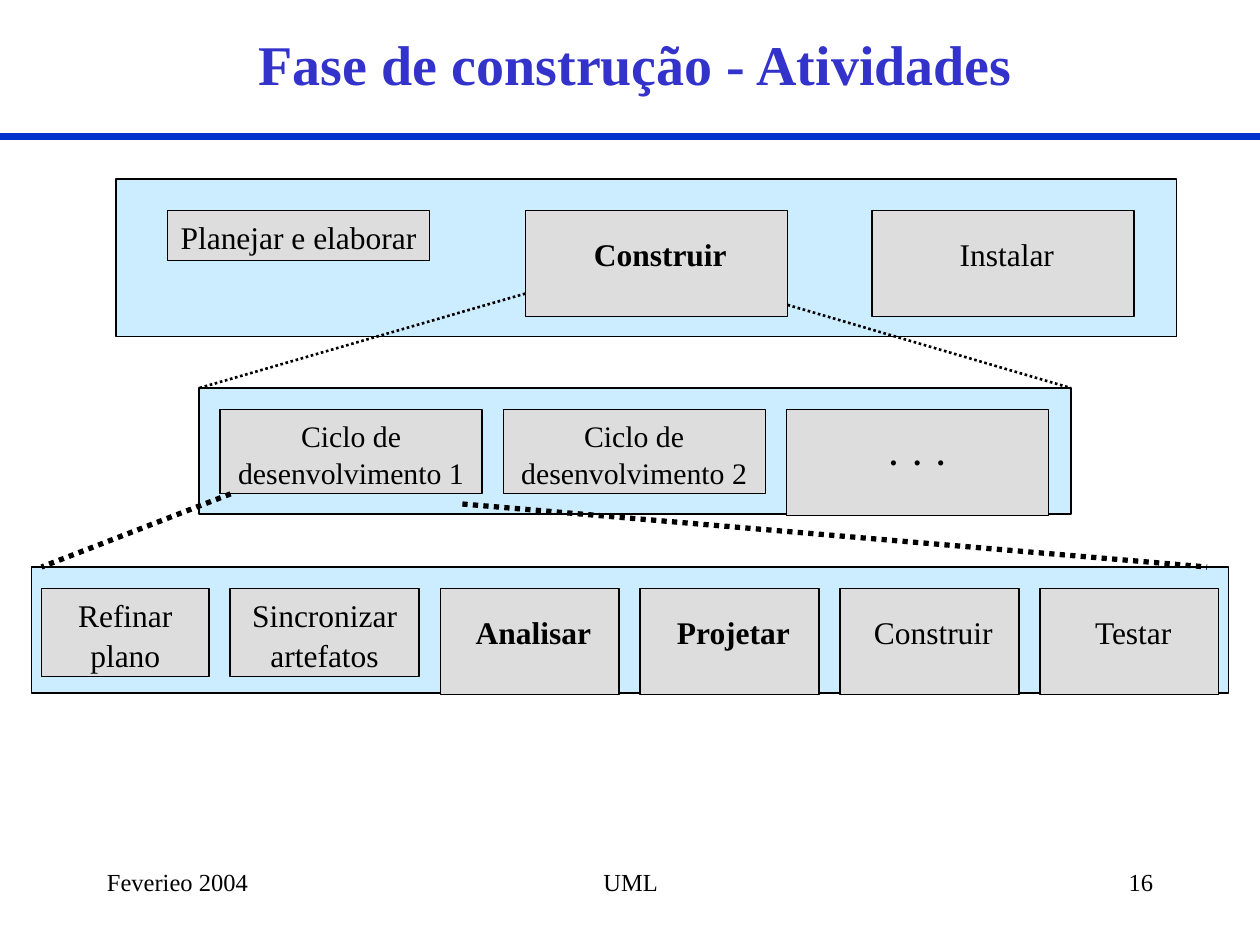
from dataclasses import dataclass

from pptx import Presentation
from pptx.dml.color import RGBColor
from pptx.enum.dml import MSO_LINE
from pptx.enum.shapes import MSO_CONNECTOR, MSO_SHAPE
from pptx.enum.text import MSO_ANCHOR, PP_ALIGN
from pptx.oxml.ns import qn
from pptx.util import Inches, Pt


@dataclass(frozen=True)
class Theme:
    """Colours, font and type sizes of the slide."""
    font: str = "Times New Roman"
    title: str = "3333CC"
    rule: str = "0033CC"
    band: str = "CCECFF"
    card: str = "DDDDDD"
    ink: str = "000000"
    title_size: int = 32
    body_size: int = 18
    cycle_size: int = 17
    footer_size: int = 14


@dataclass(frozen=True)
class Activity:
    """One card of a band, with the gap on its left."""
    label: str
    width: float = 2.08
    height: float = 0.84
    gap: float = 1 / 6
    inset_top: float = 0.05
    inset_left: float = 0.1
    bold: bool = False
    size: int = 18


THEME = Theme()
CARD_TOP = 0.17


def lowered(label, width=2.08, inset_left=0.16, **options):
    """Describe a tall card whose label sits below its top edge."""
    return Activity(label, width, inset_top=0.18, inset_left=inset_left, **options)


def write(frame, text, size, color=THEME.ink, bold=False, align=PP_ALIGN.CENTER):
    """Set the text of a frame and format it."""
    frame.text = text
    frame.word_wrap = True
    paragraph = frame.paragraphs[0]
    paragraph.alignment = align
    font = paragraph.runs[0].font
    font.name = THEME.font
    font.size = Pt(size)
    font.bold = bold
    font.color.rgb = RGBColor.from_string(color)


def add_box(slide, box, fill):
    """Draw an outlined rectangle."""
    rectangle = slide.shapes.add_shape(MSO_SHAPE.RECTANGLE, *map(Inches, box))
    rectangle.shadow.inherit = False
    rectangle.fill.solid()
    rectangle.fill.fore_color.rgb = RGBColor.from_string(fill)
    rectangle.line.color.rgb = RGBColor.from_string(THEME.ink)
    rectangle.line.width = Pt(0.75)
    return rectangle


def add_line(slide, start, end, width, color=THEME.ink, dash=MSO_LINE.ROUND_DOT):
    """Draw a straight line without a shadow."""
    line = slide.shapes.add_connector(
        MSO_CONNECTOR.STRAIGHT, *map(Inches, (*start, *end)))
    line.line.color.rgb = RGBColor.from_string(color)
    line.line.width = Pt(width)
    line.line.dash_style = dash
    properties = line._element.spPr
    properties.append(properties.makeelement(qn("a:effectLst"), {}))


def add_header(slide, box):
    """Place the title and the rule below it."""
    title = slide.shapes.title
    title.left, title.top, title.width, title.height = map(Inches, box)
    write(title.text_frame, "Fase de construção - Atividades",
          THEME.title_size, THEME.title, True)
    title.text_frame.vertical_anchor = MSO_ANCHOR.MIDDLE
    rule_y = box[1] + box[3] + 0.08
    add_line(slide, (0, rule_y), (10, rule_y), 4, THEME.rule, MSO_LINE.SOLID)


def add_band(slide, box, activities, card_top=CARD_TOP):
    """Place a band and its cards from left to right."""
    add_box(slide, box, THEME.band)
    left = box[0]
    for activity in activities:
        left += activity.gap
        card = add_box(slide, (left, box[1] + card_top, activity.width,
                               activity.height), THEME.card)
        frame = card.text_frame
        write(frame, activity.label, activity.size, bold=activity.bold)
        frame.paragraphs[0].line_spacing = 1.05
        frame.vertical_anchor = MSO_ANCHOR.TOP
        frame.margin_top = Inches(activity.inset_top)
        frame.margin_left = Inches(activity.inset_left)
        left += activity.width


def add_footer(slide, box):
    """Place date, subject and page number along the bottom."""
    left, top, width, height = box
    parts = (
        ("UML", left + 2.67, 3.17, PP_ALIGN.CENTER),
        ("16", left + width - 2.08, 2.08, PP_ALIGN.RIGHT),
        ("Feverieo 2004", left, 2.08, PP_ALIGN.LEFT),
    )
    for text, part_left, part_width, align in parts:
        part = slide.shapes.add_textbox(
            *map(Inches, (part_left, top, part_width, height)))
        write(part.text_frame, text, THEME.footer_size, align=align)


def main():
    """Build the slide and save it."""
    presentation = Presentation()
    presentation.slide_width, presentation.slide_height = Inches(10), Inches(7.5)
    slide = presentation.slides.add_slide(presentation.slide_layouts[5])

    phases = (
        Activity("Planejar e elaborar", height=0.4, gap=0.41),
        lowered("Construir", gap=0.76, bold=True),
        lowered("Instalar", gap=0.67),
    )
    cycles = (
        *(Activity(f"Ciclo de desenvolvimento {number}", height=0.67,
                   size=THEME.cycle_size) for number in (1, 2)),
        lowered(".  .  .", inset_left=0.1, bold=True),
    )
    steps = (
        Activity("Refinar plano", 1.33, 0.7, gap=0.08),
        Activity("Sincronizar artefatos", 1.5, 0.7),
        lowered("Analisar", 1.42, bold=True),
        lowered("Projetar", 1.42, bold=True),
        lowered("Construir", 1.42),
        lowered("Testar", 1.42),
    )

    add_header(slide, (0.42, 0, 9.25, 1))
    add_band(slide, (1.58, 3.08, 6.92, 1), cycles)
    add_band(slide, (0.92, 1.42, 8.42, 1.25), phases, card_top=0.25)
    add_line(slide, (4.17, 2.33), (1.58, 3.08), 1.5)
    add_line(slide, (6.25, 2.42), (8.5, 3.08), 1.5)
    add_band(slide, (0.25, 4.5, 9.5, 1), steps)
    add_line(slide, (3.67, 4), (9.58, 4.5), 3)
    add_line(slide, (1.83, 3.92), (0.33, 4.5), 3)
    add_footer(slide, (0.75, 6.83, 8.5, 0.5))
    presentation.save("out.pptx")


if __name__ == "__main__":
    main()
